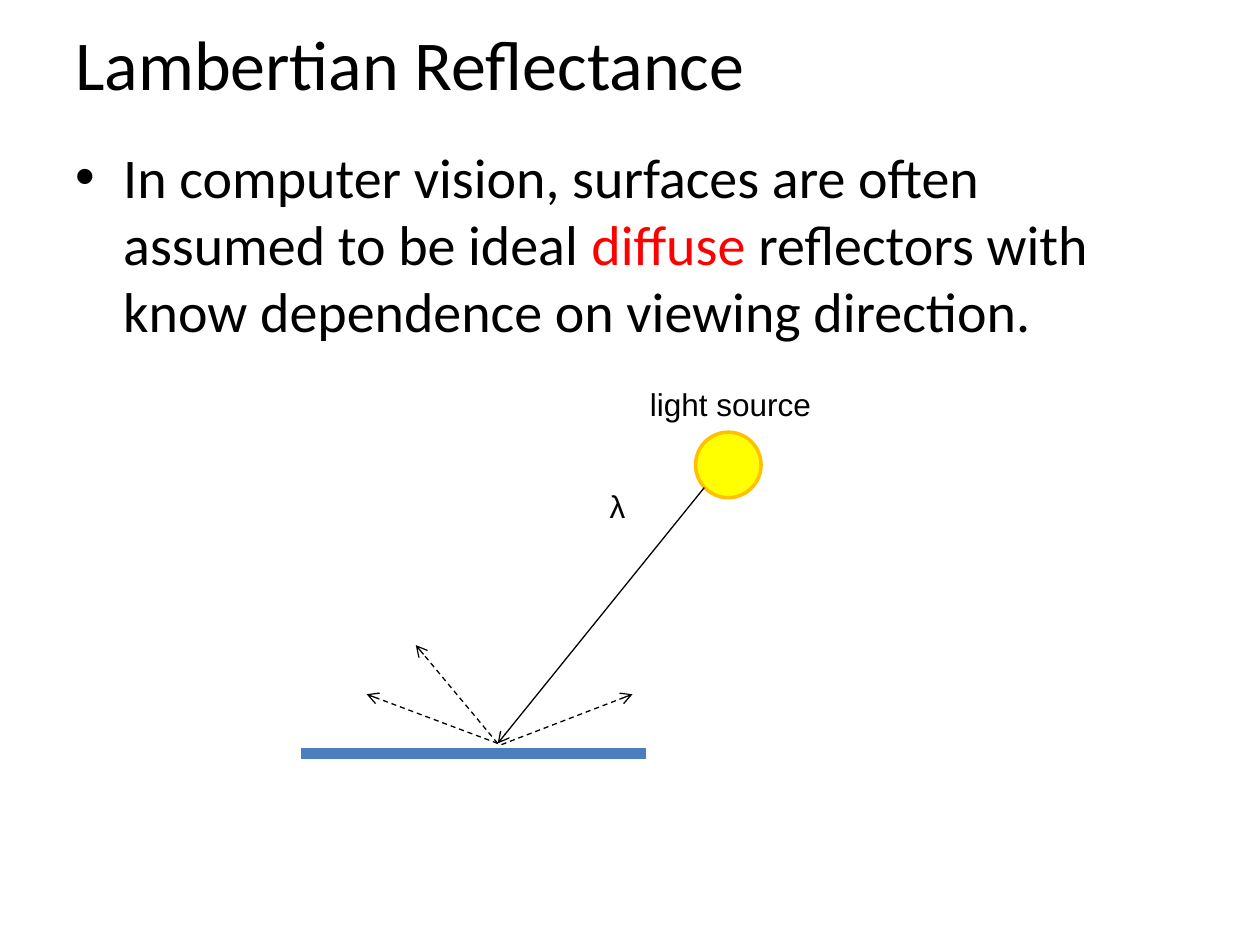
from lxml.etree import SubElement
from pptx import Presentation
from pptx.dml.color import RGBColor
from pptx.enum.dml import MSO_LINE
from pptx.enum.shapes import MSO_CONNECTOR, MSO_SHAPE
from pptx.enum.text import MSO_ANCHOR, MSO_AUTO_SIZE
from pptx.oxml.ns import qn
from pptx.util import Inches, Pt

COLORS = {
    "text": "000000",
    "accent": "FF0000",
    "surface": "4B7EBC",
    "sun": "FFFF00",
    "sun_edge": "FFC000",
}
HIT = (3.95, 5.9)


def rgb(name):
    return RGBColor.from_string(COLORS[name])


def add_bullet(p, indent):
    pPr = p._p.get_or_add_pPr()
    pPr.set("marL", str(Inches(indent)))
    pPr.set("indent", str(-Inches(indent)))
    SubElement(pPr, qn("a:buFont"), typeface="Arial")
    SubElement(pPr, qn("a:buChar"), char="•")


def add_text(slide, box, runs, size, font="Calibri", anchor=MSO_ANCHOR.TOP, bullet=None):
    """Add a one-paragraph text box; runs are (text, color name) pairs."""
    tf = slide.shapes.add_textbox(*map(Inches, box)).text_frame
    tf.word_wrap = True
    tf.auto_size = MSO_AUTO_SIZE.NONE
    tf.vertical_anchor = anchor
    p = tf.paragraphs[0]
    if bullet:
        add_bullet(p, bullet)
    for text, color in runs:
        r = p.add_run()
        r.text = text
        r.font.name = font
        r.font.size = Pt(size)
        r.font.color.rgb = rgb(color)


def add_line(slide, start, end, color="text", width=0.75, arrow=False, dashed=False):
    line = slide.shapes.add_connector(MSO_CONNECTOR.STRAIGHT, *map(Inches, start + end))
    line.line.color.rgb = rgb(color)
    line.line.width = Pt(width)
    if dashed:
        line.line.dash_style = MSO_LINE.DASH
    if arrow:
        SubElement(line.line._get_or_add_ln(), qn("a:tailEnd"), type="arrow")
    SubElement(line._element.spPr, qn("a:effectLst"))


def add_sun(slide, left, top, size):
    sp = slide.shapes.add_shape(MSO_SHAPE.OVAL, *map(Inches, (left, top, size, size)))
    sp.shadow.inherit = False
    sp.fill.solid()
    sp.fill.fore_color.rgb = rgb("sun")
    sp.line.color.rgb = rgb("sun_edge")
    sp.line.width = Pt(2)


def main():
    prs = Presentation()
    prs.slide_width, prs.slide_height = Inches(10), Inches(7.5)
    s = prs.slides.add_slide(prs.slide_layouts[6])

    add_text(s, (0.5, 0, 9, 1), [("Lambertian Reflectance", "text")], 40,
             anchor=MSO_ANCHOR.MIDDLE)
    add_text(s, (0.5, 1.08, 9, 5.62), [
        ("In computer vision, surfaces are often assumed to be ideal ", "text"),
        ("diffuse", "accent"),
        (" reflectors with know dependence on viewing direction.", "text"),
    ], 32, bullet=0.38)

    add_line(s, (2.39, 5.98), (5.13, 5.98), color="surface", width=6)
    add_sun(s, 5.52, 3.43, 0.52)
    add_line(s, (5.59, 3.87), HIT, arrow=True)
    add_text(s, (4.74, 3.82, 0.51, 0.63), [("λ", "text")], 18, font="Arial")
    add_text(s, (5.06, 3.01, 1.5, 0.42), [("light source", "text")], 18, font="Arial")

    reflections = [(HIT, (3.3, 5.12)), (HIT, (2.91, 5.51)), ((3.98, 5.91), (5.02, 5.51))]
    for start, end in reflections:
        add_line(s, start, end, arrow=True, dashed=True)

    prs.save("out.pptx")


if __name__ == "__main__":
    main()
